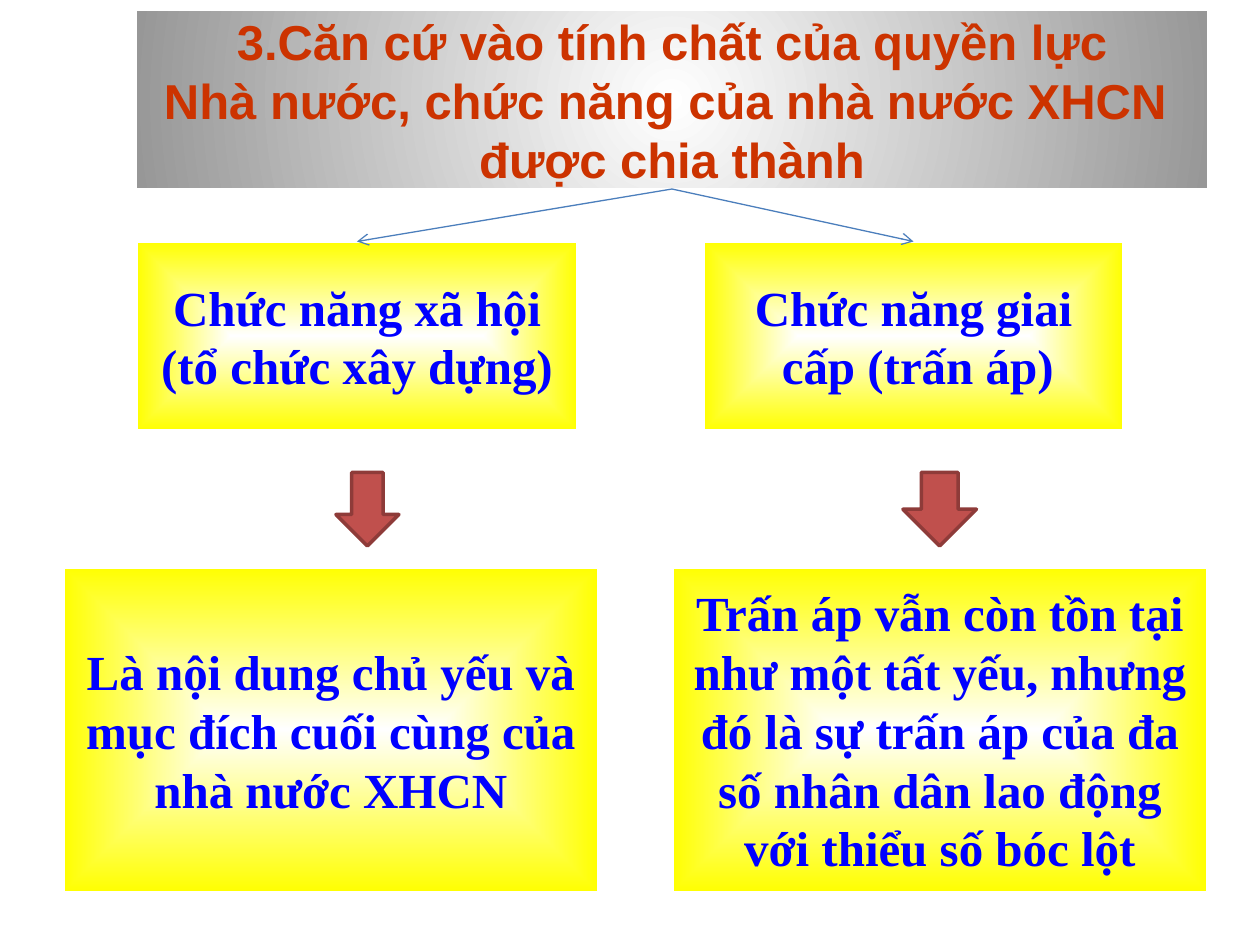
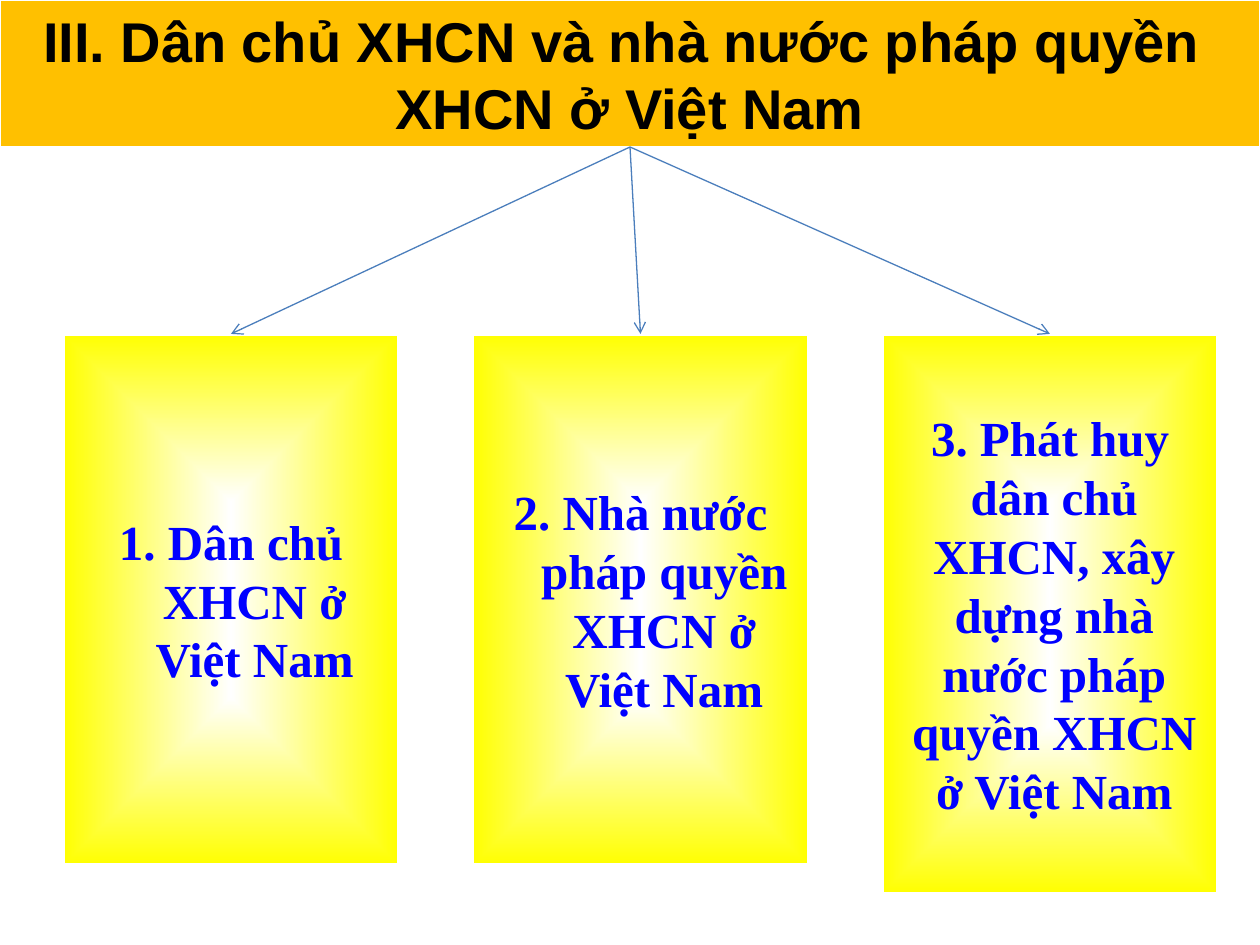
from dataclasses import dataclass

from lxml import etree
from pptx import Presentation
from pptx import util as u
from pptx.dml.color import RGBColor
from pptx.enum import shapes, text
from pptx.oxml.ns import qn

PX = 914400 / 120


@dataclass(frozen=True)
class Theme:
    white: str = "FFFFFF"
    grey: str = "979797"
    yellow: str = "FFFF00"
    amber: str = "FFC000"
    title_red: str = "CC3300"
    black: str = "000000"
    blue: str = "0000FF"
    connector: str = "4B7EBC"
    arrow: str = "C0504D"
    arrow_edge: str = "8E3B39"
    title_font: str = "Arial"
    body_font: str = "Times New Roman"
    body_size: int = 28
    section_size: int = 32
    thin: float = 0.75
    thick: float = 2


T = Theme()


def px(n):
    return u.Emu(round(n * PX))


def rgb(value):
    return RGBColor.from_string(value)


def set_line(sp, color, width):
    sp.line.color.rgb = rgb(color)
    sp.line.width = u.Pt(width)


def fill_solid(sp, color):
    sp.fill.solid()
    sp.fill.fore_color.rgb = rgb(color)


def fill_radial(sp, outer, path):
    sp.fill.gradient()
    for stop, color, position in zip(sp.fill.gradient_stops, (T.white, outer), (0, 1)):
        stop.color.rgb = rgb(color)
        stop.position = position
    grad = sp._element.spPr.find(qn("a:gradFill"))
    grad.remove(grad.find(qn("a:lin")))
    center = etree.SubElement(grad, qn("a:path"), path=path)
    etree.SubElement(center, qn("a:fillToRect"), dict.fromkeys("ltrb", "50000"))


def write(sp, lines, font=T.body_font, size=T.body_size, color=T.blue, hang=0, wrap=True):
    tf = sp.text_frame
    tf.word_wrap = wrap
    tf.auto_size = text.MSO_AUTO_SIZE.NONE
    tf.vertical_anchor = text.MSO_ANCHOR.MIDDLE
    for i, line in enumerate(lines):
        p = tf.add_paragraph() if i else tf.paragraphs[0]
        p.alignment = text.PP_ALIGN.CENTER
        if hang:
            pPr = p._p.get_or_add_pPr()
            pPr.set("marL", str(px(hang)))
            pPr.set("indent", str(-px(hang)))
        r = p.add_run()
        r.text = line
        r.font.name = font
        r.font.size = u.Pt(size)
        r.font.bold = True
        r.font.color.rgb = rgb(color)


def add_title(s, at, lines, **fmt):
    sp = s.shapes.title
    sp.left, sp.top, sp.width, sp.height = map(px, at)
    set_line(sp, T.white, T.thin)
    write(sp, lines, font=T.title_font, wrap=False, **fmt)
    return sp


def add_preset(s, kind, at):
    sp = s.shapes.add_shape(kind, *map(px, at))
    sp.shadow.inherit = False
    return sp


def add_box(s, at, *lines, hang=0):
    sp = add_preset(s, shapes.MSO_SHAPE.RECTANGLE, at)
    fill_radial(sp, T.yellow, "shape")
    set_line(sp, T.white, T.thick)
    write(sp, lines, hang=hang)
    return sp


def add_down_arrow(s, at):
    sp = add_preset(s, shapes.MSO_SHAPE.DOWN_ARROW, at)
    fill_solid(sp, T.arrow)
    set_line(sp, T.arrow_edge, T.thick)


def connect(s, parent, child):
    line = s.shapes.add_connector(shapes.MSO_CONNECTOR.STRAIGHT, 0, 0, 0, 0)
    line.begin_connect(parent, 2)
    line.end_connect(child, 0)
    set_line(line, T.connector, T.thin)
    etree.SubElement(line.line._get_or_add_ln(), qn("a:tailEnd"), type="arrow")
    etree.SubElement(line._element.spPr, qn("a:effectLst"))


def build_functions(s):
    title = add_title(s, (130, 10, 1020, 170), [
        "3.Căn cứ vào tính chất của quyền lực",
        "Nhà nước, chức năng của nhà nước XHCN ",
        "được chia thành",
    ], size=T.body_size, color=T.title_red)
    fill_radial(title, T.grey, "circle")
    social = add_box(s, (130, 230, 420, 180),
                     "Chức năng xã hội", "(tổ chức xây dựng)", hang=45)
    coercive = add_box(s, (670, 230, 400, 180), "Chức năng giai cấp (trấn áp)", hang=8)
    for function in (social, coercive):
        connect(s, title, function)
    details = (
        (60, "Là nội dung chủ yếu và mục đích cuối cùng của nhà nước XHCN"),
        (640, "Trấn áp vẫn còn tồn tại như một tất yếu, nhưng đó là sự trấn áp "
              "của đa số nhân dân lao động với thiểu số bóc lột"),
    )
    for left, detail in details:
        add_box(s, (left, 540, 510, 310), detail)
    for left, width in ((320, 60), (860, 70)):
        add_down_arrow(s, (left, 450, width, 70))


def build_section(s):
    title = add_title(s, (0, 0, 1200, 140), [
        "III. Dân chủ XHCN và nhà nước pháp quyền ",
        "XHCN ở Việt Nam",
    ], size=T.section_size, color=T.black)
    fill_solid(title, T.amber)
    topics = (
        ("1. Dân chủ XHCN ở Việt Nam", 506, 45),
        ("2. Nhà nước pháp quyền XHCN ở Việt Nam", 506, 45),
        ("3. Phát huy dân chủ XHCN, xây dựng nhà nước pháp quyền XHCN ở Việt Nam", 533, 8),
    )
    for i, (topic, height, hang) in enumerate(topics):
        box = add_box(s, (60 + 390 * i, 318, 320, height), topic, hang=hang)
        connect(s, title, box)


def main():
    prs = Presentation()
    prs.slide_width, prs.slide_height = px(1200), px(900)
    for build in (build_functions, build_section):
        build(prs.slides.add_slide(prs.slide_layouts[5]))
    prs.save("out.pptx")


if __name__ == "__main__":
    main()
